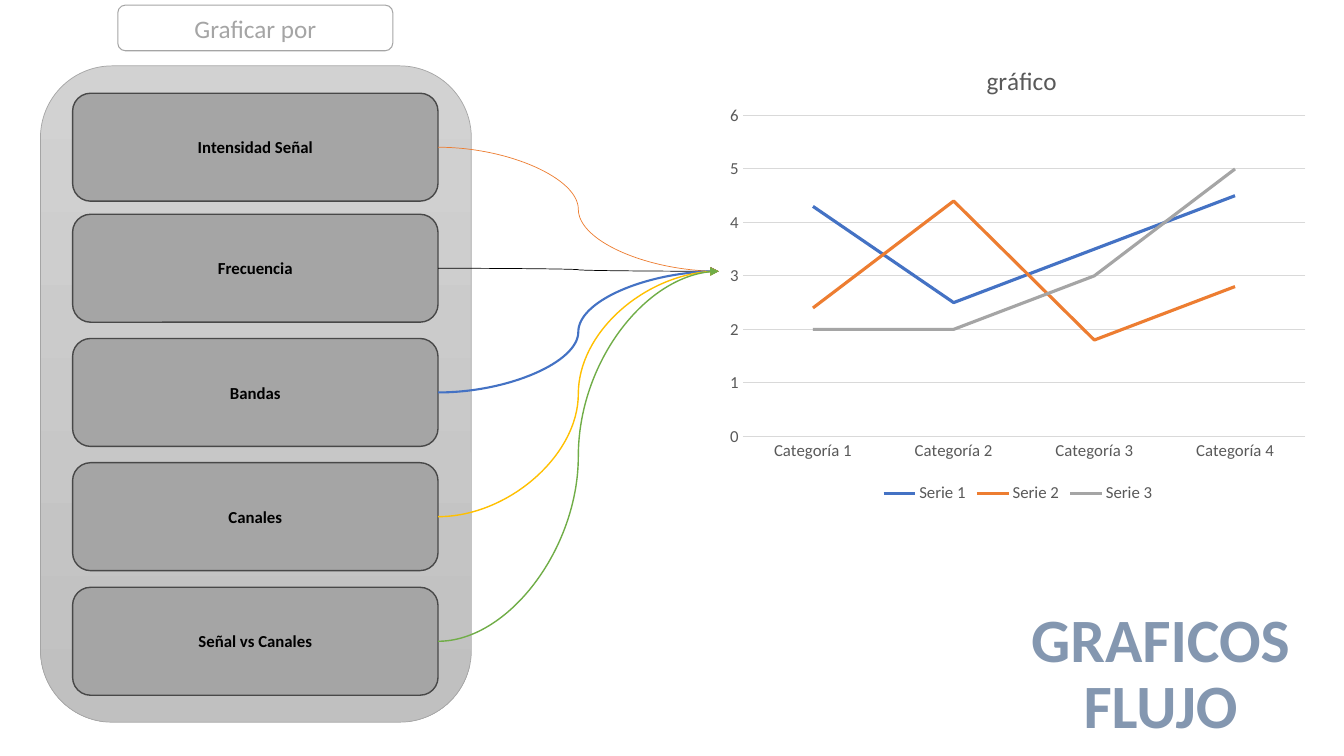
import pptx
import pptx.chart.data
import pptx.dml.color
import pptx.enum.chart
import pptx.enum.shapes
import pptx.enum.text
import pptx.oxml
import pptx.oxml.ns
import pptx.util
from pptx.util import Cm, Pt


def color(value):
    return pptx.dml.color.RGBColor.from_string(value)


def style_text(shape, text, size, value, bold=False):
    frame = shape.text_frame
    frame.text = text
    frame.word_wrap = True
    frame.vertical_anchor = pptx.enum.text.MSO_ANCHOR.MIDDLE
    para = frame.paragraphs[0]
    para.alignment = pptx.enum.text.PP_ALIGN.CENTER
    font = para.runs[0].font
    font.name, font.size, font.bold = "Calibri", Pt(size), bold
    font.color.rgb = color(value)


deck = pptx.Presentation()
deck.slide_width, deck.slide_height = Cm(33.87), Cm(19.05)
page = deck.slides.add_slide(deck.slide_layouts[6])
ROUNDED = pptx.enum.shapes.MSO_SHAPE.ROUNDED_RECTANGLE

# Header
header = page.shapes.add_shape(ROUNDED, Cm(2.97), Cm(0.13), Cm(6.93), Cm(1.15))
header.shadow.inherit = False
header.fill.background()
header.line.color.rgb = color("A5A5A5")
header.line.width = Pt(0.75)
style_text(header, "Graficar por", 18, "A5A5A5")

# Slide title
title = page.shapes.add_textbox(Cm(24.64), Cm(15.14), Cm(9.22), Cm(3.76))
style_text(title, "GRAFICOS FLUJO", 44, "8497B0", bold=True)
title.text_frame.paragraphs[0].line_spacing = 0.9

# Panel behind the options
panel = page.shapes.add_shape(ROUNDED, Cm(1.02), Cm(1.66), Cm(10.86), Cm(16.54))
panel.shadow.inherit = False
panel.fill.gradient()
panel.fill.gradient_angle = 270
for stop, value in zip(panel.fill.gradient_stops, ("D2D2D2", "C0C0C0")):
    stop.color.rgb = color(value)
panel.line.color.rgb = color("A5A5A5")
panel.line.width = Pt(0.5)

# Line chart
data = pptx.chart.data.CategoryChartData()
data.categories = [f"Categoría {number}" for number in range(1, 5)]
data.add_series("Serie 1", (4.3, 2.5, 3.5, 4.5))
data.add_series("Serie 2", (2.4, 4.4, 1.8, 2.8))
data.add_series("Serie 3", (2, 2, 3, 5))
chart_frame = page.shapes.add_chart(
    pptx.enum.chart.XL_CHART_TYPE.LINE, Cm(18.11), Cm(0.89), Cm(15.09), Cm(11.89), data)
chart = chart_frame.chart
chart.font.name, chart.font.size = "Calibri", Pt(12)
chart.font.color.rgb = color("595959")
chart.has_title = True
chart.chart_title.text_frame.text = "gráfico"
title_font = chart.chart_title.text_frame.paragraphs[0].runs[0].font
title_font.name, title_font.size, title_font.bold = "Calibri", Pt(18), False
title_font.color.rgb = color("595959")
chart.has_legend = True
chart.legend.position = pptx.enum.chart.XL_LEGEND_POSITION.BOTTOM
chart.legend.include_in_layout = False
for series, value in zip(chart.plots[0].series, ("4472C4", "ED7D31", "A5A5A5")):
    series.smooth = False
    series.marker.style = pptx.enum.chart.XL_MARKER_STYLE.NONE
    series.format.line.color.rgb = color(value)
    series.format.line.width = Pt(2.25)

# Chart axes
for axis in (chart.category_axis, chart.value_axis):
    axis.major_tick_mark = pptx.enum.chart.XL_TICK_MARK.NONE
chart.category_axis.format.line.color.rgb = color("D9D9D9")
chart.category_axis.format.line.width = Pt(0.75)
scale = chart.value_axis
scale.minimum_scale, scale.maximum_scale, scale.major_unit = 0, 6, 1
scale.format.line.fill.background()
scale.major_gridlines.format.line.color.rgb = color("D9D9D9")
scale.major_gridlines.format.line.width = Pt(0.75)

# Fixed places for the chart title and the plot
chart_xml = chart._chartSpace.chart
places = (
    (chart_xml.find(pptx.oxml.ns.qn("c:title")), 1, {"x": 0.44, "y": 0.05}),
    (chart_xml.plotArea, 0, {"x": 0.04, "y": 0.17, "w": 0.94, "h": 0.68}),
)
for parent, index, shares in places:
    for old_layout in parent.findall(pptx.oxml.ns.qn("c:layout")):
        parent.remove(old_layout)
    target = '<c:layoutTarget val="inner"/>' if "w" in shares else ""
    modes = '<c:xMode val="edge"/><c:yMode val="edge"/>'
    sizes = "".join(f'<c:{key} val="{share}"/>' for key, share in shares.items())
    parent.insert(index, pptx.oxml.parse_xml(
        f'<c:layout {pptx.oxml.ns.nsdecls("c")}><c:manualLayout>'
        f'{target}{modes}{sizes}</c:manualLayout></c:layout>'))

# Options, each with a curved arrow to the chart
options = (
    ("Intensidad Señal", 2.35, "ED7D31", 0.5),
    ("Frecuencia", 5.4, "000000", 0.5),
    ("Bandas", 8.53, "4472C4", 1.5),
    ("Canales", 11.66, "FFC000", 1),
    ("Señal vs Canales", 14.8, "70AD47", 1),
)
for label, top, value, width in options:
    box = page.shapes.add_shape(ROUNDED, Cm(1.83), Cm(top), Cm(9.21), Cm(2.72))
    box.shadow.inherit = False
    box.fill.solid()
    box.fill.fore_color.rgb = color("A5A5A5")
    box.line.color.rgb = color("484848")
    box.line.width = Pt(1)
    style_text(box, label, 12, "000000", bold=True)

    arrow = page.shapes.add_connector(
        pptx.enum.shapes.MSO_CONNECTOR.CURVE, 0, 0, Cm(1), Cm(1))
    arrow.begin_connect(box, 3)
    arrow.end_connect(chart_frame, 1)
    arrow.line.color.rgb = color(value)
    arrow.line.width = Pt(width)
    arrow.line._get_or_add_ln().append(pptx.oxml.parse_xml(
        f'<a:tailEnd {pptx.oxml.ns.nsdecls("a")} type="triangle"/>'))
    arrow._element.spPr.append(pptx.oxml.parse_xml(
        f'<a:effectLst {pptx.oxml.ns.nsdecls("a")}/>'))

deck.save("out.pptx")
